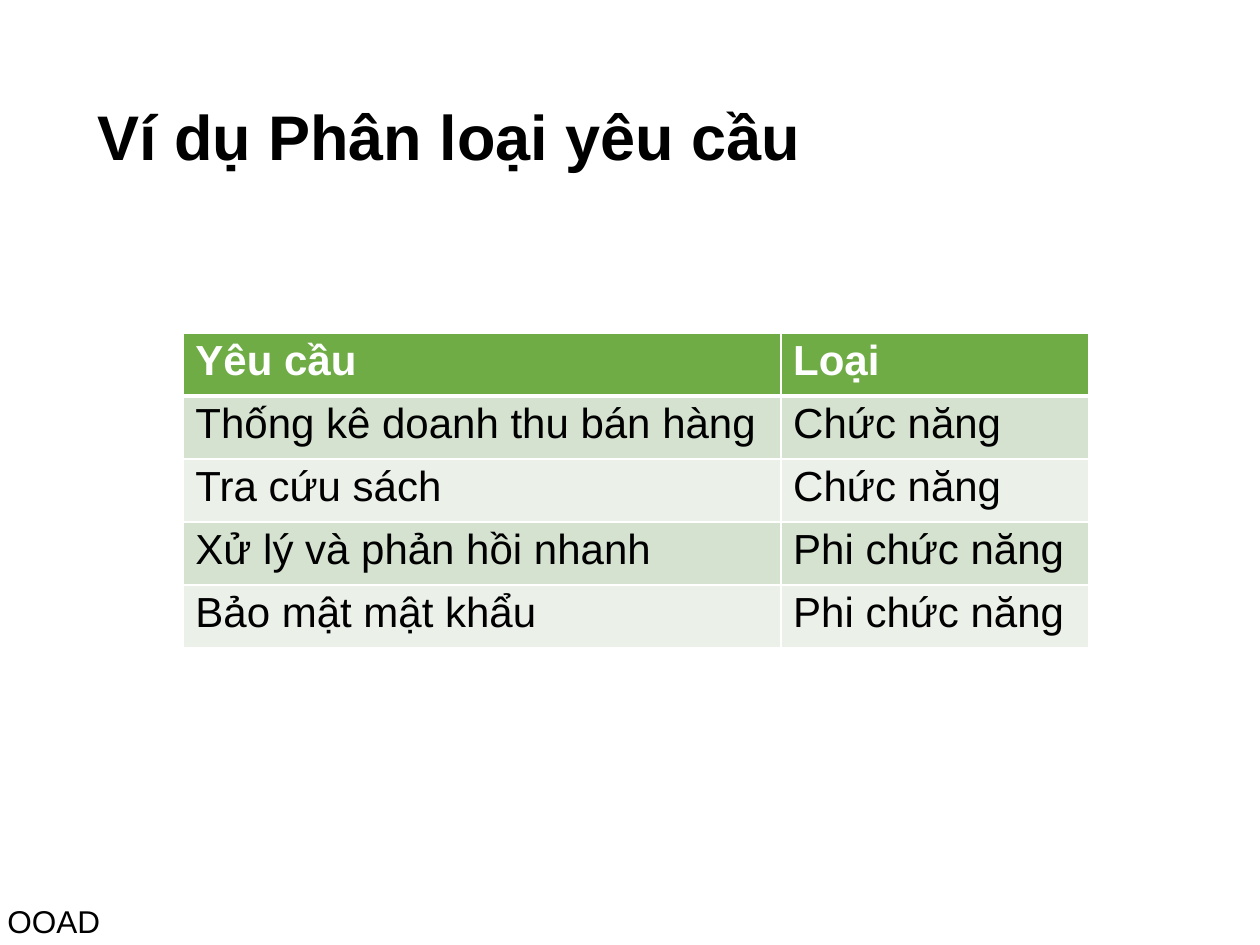
from dataclasses import dataclass

from lxml import etree
from pptx import Presentation
from pptx import util as u
from pptx.dml.color import RGBColor
from pptx.enum import text
from pptx.oxml.ns import qn


@dataclass
class Theme:
    font: str = "Arial"
    ink: str = "000000"
    white: str = "FFFFFF"
    head: str = "6FAC46"
    bands: tuple = ("D4E2CF", "EBF0E9")
    big: int = 36
    mid: int = 24
    small: int = 18


class Deck:
    def __init__(self, theme):
        self.theme = theme
        self.prs = Presentation()
        self.prs.slide_width, self.prs.slide_height = u.Cm(25.4), u.Cm(19.05)
        self.slide = self.prs.slides.add_slide(self.prs.slide_layouts[5])

    def style(self, frame, words, size, color, bold=False):
        """Put one left-aligned paragraph in a frame and style it."""
        frame.text = words
        par = frame.paragraphs[0]
        par.alignment = text.PP_ALIGN.LEFT
        for run in par.runs:
            font = run.font
            font.name, font.size, font.bold = self.theme.font, u.Pt(size), bold
            font.color.rgb = RGBColor.from_string(color)
        return par

    def bare(self, frame):
        """Strip the insets and pin the text to the top."""
        frame.margin_left = frame.margin_right = 0
        frame.margin_top = frame.margin_bottom = 0
        frame.vertical_anchor = text.MSO_ANCHOR.TOP
        frame.auto_size = text.MSO_AUTO_SIZE.NONE
        frame.word_wrap = True

    def title(self, words, left, top, width, height):
        box = self.slide.shapes.title
        box.left, box.top = u.Cm(left), u.Cm(top)
        box.width, box.height = u.Cm(width), u.Cm(height)
        self.bare(box.text_frame)
        par = self.style(box.text_frame, words, self.theme.big, self.theme.ink, True)
        par.space_before = u.Pt(1)

    def label(self, words, left, top, width, height):
        box = self.slide.shapes.add_textbox(
            u.Cm(left), u.Cm(top), u.Cm(width), u.Cm(height))
        self.bare(box.text_frame)
        par = self.style(box.text_frame, words, self.theme.small, self.theme.ink)
        par.line_spacing = u.Pt(20.9)

    def edge(self, side, width):
        """Make one white cell border."""
        line = etree.Element(qn("a:" + side), w=str(u.Pt(width)))
        fill = etree.SubElement(line, qn("a:solidFill"))
        etree.SubElement(fill, qn("a:srgbClr"), val=self.theme.white)
        return line

    def cell(self, cell, words, row):
        theme, top = self.theme, row == 0
        cell.fill.solid()
        shade = theme.head if top else theme.bands[(row - 1) % 2]
        cell.fill.fore_color.rgb = RGBColor.from_string(shade)
        cell.margin_left, cell.margin_right = u.Cm(0.25), 0
        cell.margin_top, cell.margin_bottom = u.Cm(0.1), 0
        par = self.style(cell.text_frame, words, theme.mid,
                         theme.white if top else theme.ink, top)
        par.space_before = u.Pt(3)
        # The rule under the header is thicker; borders precede the fill
        widths = {"lnL": 1, "lnR": 1, "lnT": 3 if row == 1 else 1,
                  "lnB": 3 if top else 1}
        props = cell._tc.get_or_add_tcPr()
        for spot, (side, width) in enumerate(widths.items()):
            props.insert(spot, self.edge(side, width))

    def table(self, rows, left, top, widths, height):
        grid = self.slide.shapes.add_table(
            len(rows), len(widths), u.Cm(left), u.Cm(top),
            u.Cm(sum(widths)), u.Cm(height * len(rows))).table
        for col, width in zip(grid.columns, widths):
            col.width = u.Cm(width)
        for r, row in enumerate(rows):
            grid.rows[r].height = u.Cm(height)
            for c, words in enumerate(row):
                self.cell(grid.cell(r, c), words, r)


def main():
    deck = Deck(Theme())

    # Heading
    deck.title("Ví dụ Phân loại yêu cầu", 1.96, 1.96, 14.6, 1.6)

    # Footer label
    deck.label("OOAD", 0.15, 18.21, 1.96, 0.79)

    # Requirements and their kinds
    rows = [
        ("Yêu cầu", "Loại"),
        ("Thống kê doanh thu bán hàng", "Chức năng"),
        ("Tra cứu sách", "Chức năng"),
        ("Xử lý và phản hồi nhanh", "Phi chức năng"),
        ("Bảo mật mật khẩu", "Phi chức năng"),
    ]
    deck.table(rows, 3.69, 6.71, (12.05, 6.21), 1.27)

    deck.prs.save("out.pptx")


if __name__ == "__main__":
    main()
